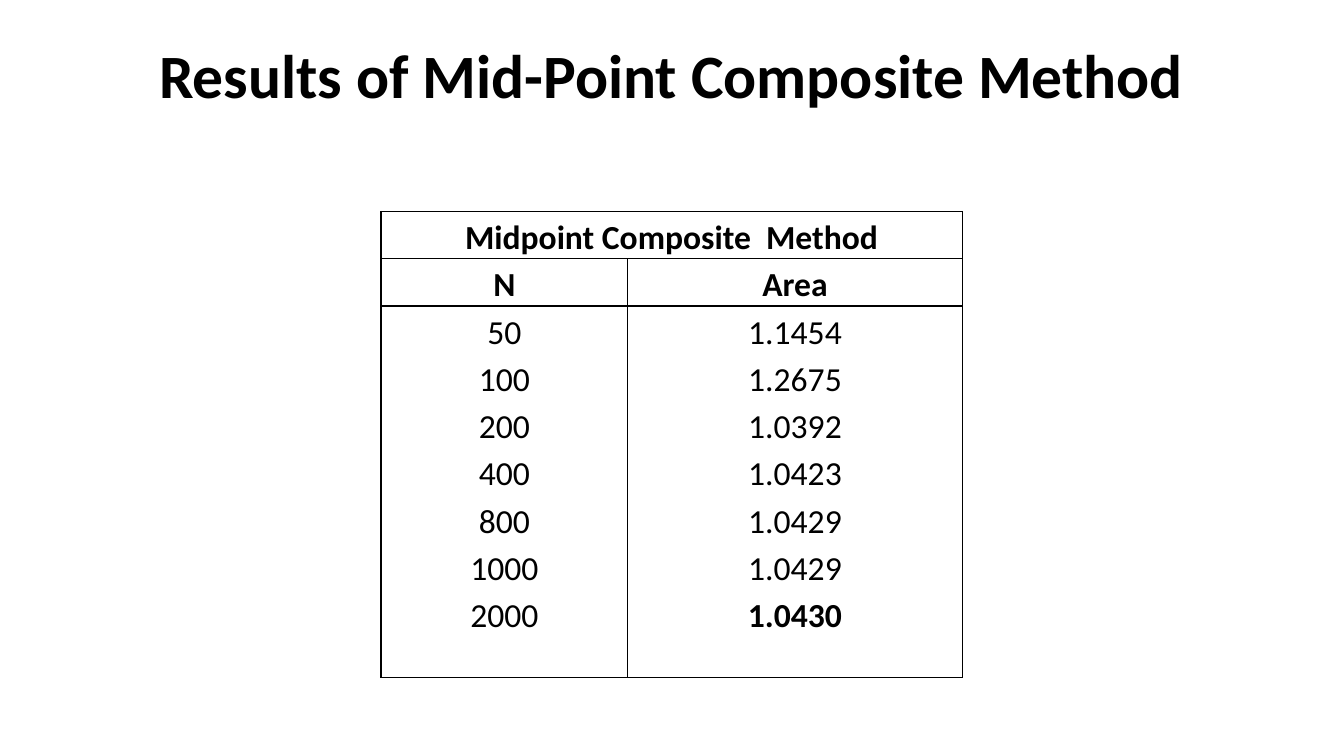
"""Build the slide with the midpoint composite results table."""
from dataclasses import dataclass

from lxml import etree
from pptx import Presentation
from pptx.dml.color import RGBColor
from pptx.enum.text import MSO_ANCHOR, PP_ALIGN
from pptx.oxml.ns import qn
from pptx.util import Cm, Pt

BLACK = RGBColor(0, 0, 0)
CENTER = PP_ALIGN.CENTER
TOP, BOTTOM = MSO_ANCHOR.TOP, MSO_ANCHOR.BOTTOM
SIDES = "LRTB"
WIDTHS = (6.22, 8.43)
TALL, SHORT = 1.19, 1.04

TITLE = {"size": Pt(44), "bold": True, "name": "Calibri"}
BODY = {"size": Pt(24), "bold": False, "name": "Calibri"}
HEAD = BODY | {"bold": True}
CELL = {"margin_left": Cm(0.18), "margin_right": Cm(0.18), "margin_top": 0,
        "margin_bottom": 0, "vertical_anchor": BOTTOM}


@dataclass(frozen=True)
class Row:
    """One table row: its texts, their fonts and its ruled sides."""
    texts: tuple[str, str]
    fonts: tuple[dict, dict] = (BODY, BODY)
    sides: str = "LR"
    height: float = TALL


DATA = (("100", "1.2675"), ("200", "1.0392"), ("400", "1.0423"),
        ("800", "1.0429"), ("1000", "1.0429"))
ROWS = (
    Row(("Midpoint Composite  Method", ""), (HEAD, HEAD), SIDES),
    Row(("N", "Area"), (HEAD, HEAD), SIDES),
    Row(("50", "1.1454"), sides="LRT"),
    *(Row(pair) for pair in DATA),
    Row(("2000", "1.0430"), (BODY, HEAD)),
    Row(("", ""), sides="LRB", height=SHORT),
)


def apply(target: object, values: dict) -> None:
    """Set each named format value on the target."""
    for name, value in values.items():
        setattr(target, name, value)


def write(frame, text: str, font: dict, space: float) -> None:
    """Write one centred line of text."""
    line = frame.paragraphs[0]
    apply(line, {"alignment": CENTER, "line_spacing": space})
    run = line.add_run()
    run.text = text
    apply(run.font, font)
    run.font.color.rgb = BLACK


def rule(cell, sides: str) -> None:
    """Draw the given sides of a cell and clear the others."""
    props = cell._tc.get_or_add_tcPr()
    for side in SIDES:
        edge = etree.SubElement(props, qn(f"a:ln{side}"), w=str(Pt(1)))
        if side in sides:
            fill = etree.SubElement(edge, qn("a:solidFill"))
            etree.SubElement(fill, qn("a:srgbClr"), val=str(BLACK))
        else:
            etree.SubElement(edge, qn("a:noFill"))


def draw_title(slide, text: str) -> None:
    """Add the slide title."""
    box = slide.shapes.add_textbox(Cm(2.33), Cm(1.02), Cm(29.21), Cm(3.68))
    apply(box.text_frame, {"word_wrap": True, "vertical_anchor": TOP})
    write(box.text_frame, text, TITLE, 0.9)


def draw_table(slide, rows: tuple[Row, ...]) -> None:
    """Add the table of results."""
    high = sum(row.height for row in rows)
    table = slide.shapes.add_table(len(rows), len(WIDTHS), Cm(9.6), Cm(5.33),
                                   Cm(sum(WIDTHS)), Cm(high)).table
    apply(table, {"first_row": False, "horz_banding": False})
    for col, width in zip(table.columns, WIDTHS):
        col.width = Cm(width)
    for line, row in zip(table.rows, rows):
        line.height = Cm(row.height)
        for cell, text, font in zip(line.cells, row.texts, row.fonts):
            apply(cell, CELL)
            rule(cell, row.sides)
            cell.fill.background()
            if text:
                write(cell.text_frame, text, font, 1.15)
    table.cell(0, 0).merge(table.cell(0, 1))


def main() -> None:
    """Build and save the deck."""
    deck = Presentation()
    apply(deck, {"slide_width": Cm(33.87), "slide_height": Cm(19.05)})
    slide = deck.slides.add_slide(deck.slide_layouts[6])
    draw_title(slide, "Results of Mid-Point Composite Method")
    draw_table(slide, ROWS)
    deck.save("out.pptx")


main()
